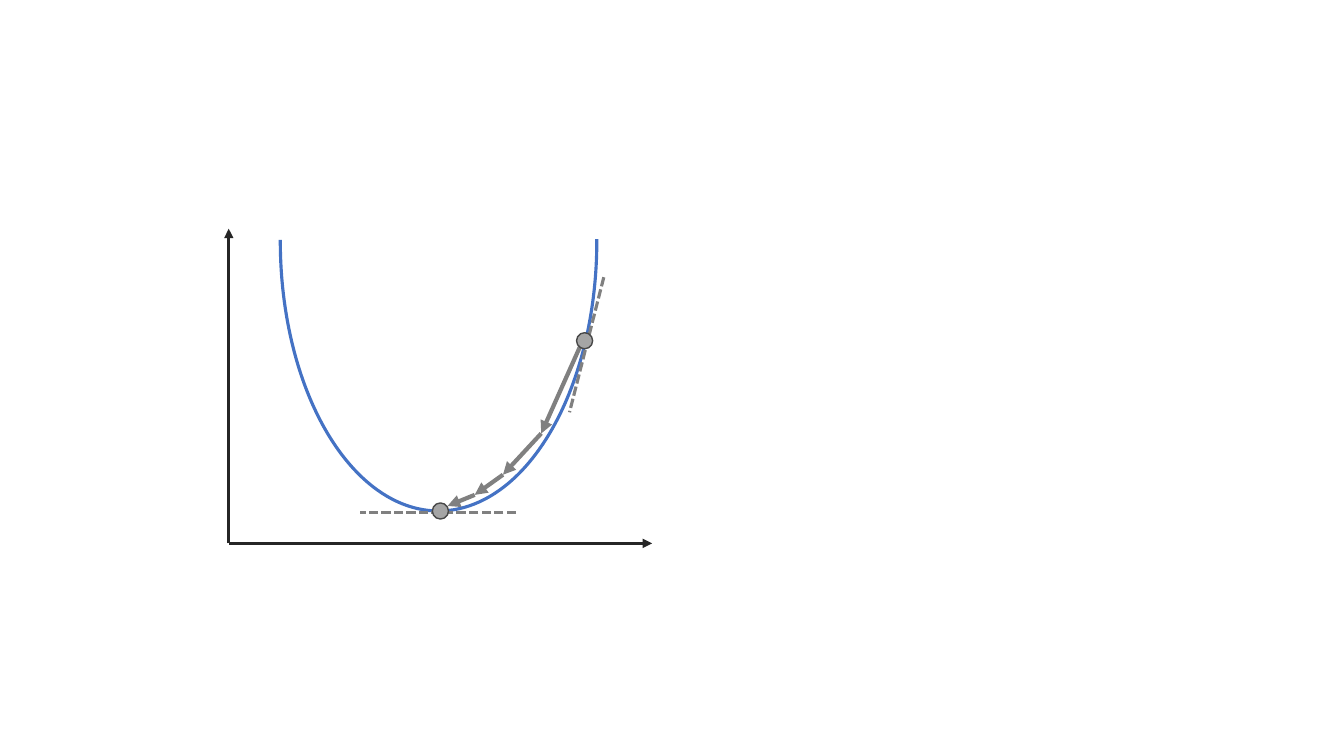
from itertools import pairwise

from lxml.etree import SubElement
from pptx import Presentation
from pptx.dml.color import RGBColor
from pptx.enum.dml import MSO_LINE
from pptx.enum.shapes import MSO_CONNECTOR, MSO_SHAPE
from pptx.oxml.ns import qn
from pptx.util import Pt

BLACK = RGBColor(0x26, 0x26, 0x26)
BLUE = RGBColor(0x44, 0x72, 0xC4)
GRAY = RGBColor(0x80, 0x80, 0x80)
BALL_FILL = RGBColor(0xA5, 0xA5, 0xA5)
BALL_LINE = RGBColor(0x48, 0x48, 0x48)

ORIGIN = (163.4, 388.1)
START = (417.6, 243.4)
MINIMUM = (314.6, 365)
DESCENT = [(416.2, 243.4), (386.6, 309.6), (359.3, 339.1), (339.1, 353.5), (319.7, 361.4)]
BALL_SIZE = 11.5


def add_line(slide, start, end, color, width=2.25, arrow=False, dashed=False):
    line = slide.shapes.add_connector(
        MSO_CONNECTOR.STRAIGHT, *(Pt(v) for v in (*start, *end)))
    line.line.color.rgb = color
    line.line.width = Pt(width)
    if dashed:
        line.line.dash_style = MSO_LINE.SQUARE_DOT
    if arrow:
        ln = line.line._get_or_add_ln()
        SubElement(ln, qn("a:tailEnd"), type="triangle")
    SubElement(line._element.spPr, qn("a:effectLst"))


def add_outlined(slide, kind, box, color, width, fill=None):
    sp = slide.shapes.add_shape(kind, *(Pt(v) for v in box))
    sp.shadow.inherit = False
    if fill is None:
        sp.fill.background()
    else:
        sp.fill.solid()
        sp.fill.fore_color.rgb = fill
    sp.line.color.rgb = color
    sp.line.width = Pt(width)
    return sp


def add_curve(slide):
    curve = add_outlined(slide, MSO_SHAPE.ARC, (200.2, -20.9, 226.1, 385.9), BLUE, 2.25)
    curve.adjustments[0] = 107.61
    curve.adjustments[1] = 0.21
    curve.rotation = 180


def add_ball(slide, center):
    x, y = center
    box = (x - BALL_SIZE / 2, y - BALL_SIZE / 2, BALL_SIZE, BALL_SIZE)
    add_outlined(slide, MSO_SHAPE.OVAL, box, BALL_LINE, 1, BALL_FILL)


def main():
    prs = Presentation()
    prs.slide_width, prs.slide_height = Pt(960), Pt(540)
    slide = prs.slides.add_slide(prs.slide_layouts[6])

    for tip in ((ORIGIN[0], 163.4), (465.8, ORIGIN[1])):
        add_line(slide, ORIGIN, tip, BLACK, arrow=True)
    add_curve(slide)
    add_line(slide, (431.3, 198), (406.8, 294.5), GRAY, dashed=True)
    for start, end in pairwise(DESCENT):
        add_line(slide, start, end, GRAY, width=3, arrow=True)
    add_line(slide, (368.6, 365.8), (257, 365.8), GRAY, dashed=True)
    for center in (MINIMUM, START):
        add_ball(slide, center)

    prs.save("out.pptx")


if __name__ == "__main__":
    main()
